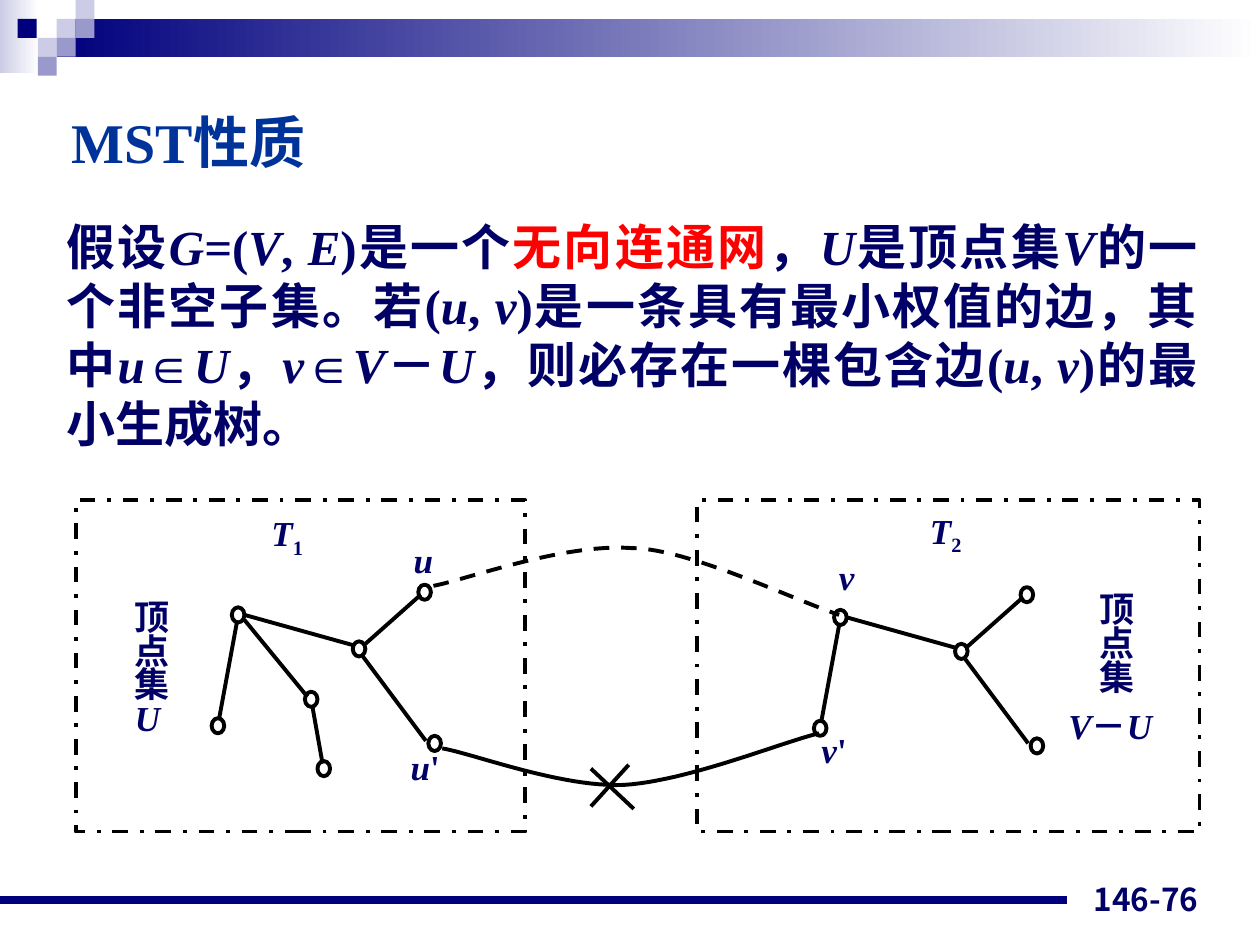
from pptx import Presentation
from pptx.dml.color import RGBColor
from pptx.enum import dml, shapes, text
from pptx.oxml import ns
from pptx.util import Inches, Pt
from lxml import etree

NAVY = RGBColor(0x00, 0x00, 0x7D)
INK = RGBColor(0x00, 0x00, 0x66)
TITLE_BLUE = RGBColor(0x00, 0x33, 0x99)
RED = RGBColor(0xFF, 0x00, 0x00)
LILAC = RGBColor(0xCC, 0xCC, 0xE6)
VIOLET = RGBColor(0x99, 0x99, 0xCC)
WHITE = RGBColor(0xFF, 0xFF, 0xFF)
BLACK = RGBColor(0x00, 0x00, 0x00)
LATIN, CJK, NUMBER_FONT = "Times New Roman", "Noto Sans CJK SC", "Noto Sans CJK JP"
LEFT, CENTER = text.PP_ALIGN.LEFT, text.PP_ALIGN.CENTER
RIGHT, JUSTIFY = text.PP_ALIGN.RIGHT, text.PP_ALIGN.JUSTIFY
PADDING = (0.1, 0.05)

# Marks in text: *italic*, |red|, _subscript_
TITLE = "MST性质"
BODY = ("假设*G*=(*V*, *E*)是一个|无向连通网|，*U*是顶点集*V*的一个非空子集。"
        "若(*u*, *v*)是一条具有最小权值的边，其中*u*∈*U*，*v*∈*V*－*U*，"
        "则必存在一棵包含边(*u*, *v*)的最小生成树。")
PAGE_NUMBER = "146-76"

BANDS = [((0, 0, 0.31, 0.58), LILAC), ((0.45, 0.15, 9.55, 0.3), NAVY)]
TILE = 0.15
TILES = [(0.45, 0.15, LILAC), (0.6, 0, LILAC), (0.6, 0.15, VIOLET), (0.3, 0.3, LILAC),
         (0.14, 0.15, NAVY), (0.45, 0.3, VIOLET), (0.3, 0.45, VIOLET)]

SET_FRAMES = [(5.53, 3.97, 3.99, 2.63), (0.6, 3.97, 3.57, 2.63)]
# Both trees share this shape; the left one has an extra branch.
TREE_SHIFTS = [(0, 0), (4.78, 0.02)]
NODE_SIZE = (0.1, 0.12)
TREE_NODES = [(3.32, 4.64), (3.4, 5.84), (2.8, 5.09), (1.68, 5.7), (1.84, 4.82)]
TREE_EDGES = [(3.34, 4.72, 2.9, 5.11), (2.88, 5.21, 3.38, 5.88),
              (1.88, 4.94, 1.74, 5.7), (1.94, 4.88, 2.8, 5.12)]
BRANCH_NODES = [(2.42, 5.49), (2.52, 6.04)]
BRANCH_EDGES = [(1.94, 4.92, 2.44, 5.53), (2.48, 5.61, 2.56, 6.06)]
CROSS = [(4.69, 6.1, 5.03, 6.42), (4.99, 6.07, 4.69, 6.4)]

# Each curve: start, then cubic segments of two controls and an end
KEPT_CURVE = [(3.51, 5.94), (3.75, 5.98), (4.45, 6.25), (4.95, 6.23),
              (5.45, 6.2), (6.18, 5.9), (6.5, 5.82)]
NEW_CURVE = [(3.44, 4.65), (3.7, 4.6), (4.48, 4.31), (5.01, 4.35),
             (5.46, 4.35), (6.32, 4.77), (6.66, 4.88)]

# text, place, alignment, line spacing, inset
LABELS = [
    ("顶点集*U*", (1.07, 4.78, 0.34, 1.09), JUSTIFY, 0.8, (0, 0.01)),
    ("*V*－*U*", (8.48, 5.61, 1.06, 0.34), JUSTIFY, 0.94, (0, 0.01)),
    ("顶点集", (8.73, 4.73, 0.28, 0.84), JUSTIFY, 0.8, (0, 0)),
    ("*u*'", (3.23, 6.05, 0.29, 0.21), CENTER, 0.54, (0, 0)),
    ("*v*", (6.57, 4.52, 0.3, 0.23), CENTER, 0.62, (0, 0)),
    ("*v*'", (6.45, 5.87, 0.34, 0.25), CENTER, 0.72, (0, 0)),
    ("*u*", (3.22, 4.36, 0.28, 0.25), CENTER, 0.72, (0, 0)),
    ("*T*_1_", (1.99, 4.15, 0.58, 0.25), CENTER, 0.62, (0, 0)),
    ("*T*_2_", (7.22, 4.13, 0.57, 0.25), CENTER, 0.62, (0, 0)),
]

deck = Presentation()
deck.slide_width, deck.slide_height = Inches(10), Inches(7.5)
page = deck.slides.add_slide(deck.slide_layouts[5])


def split_marks(marked):
    """Yield (words, set of active marks) for each stretch of marked text."""
    active, words = set(), ""
    for char in marked:
        if char in "*|_":
            if words:
                yield words, set(active)
            active ^= {char}
            words = ""
        else:
            words += char
    if words:
        yield words, set(active)


def write(box, marked, at, size=20, color=INK, latin=LATIN, cjk=CJK, align=LEFT,
          spacing=None, inset=PADDING, anchor=text.MSO_ANCHOR.TOP):
    box.left, box.top, box.width, box.height = map(Inches, at)
    frame = box.text_frame
    frame.word_wrap = True
    frame.auto_size = text.MSO_AUTO_SIZE.NONE
    frame.vertical_anchor = anchor
    frame.margin_left = frame.margin_right = Inches(inset[0])
    frame.margin_top = frame.margin_bottom = Inches(inset[1])
    para = frame.paragraphs[0]
    para.alignment, para.line_spacing = align, spacing
    for words, marks in split_marks(marked):
        span = para.add_run()
        span.text = words
        font = span.font
        font.size, font.bold, font.italic = Pt(size), True, "*" in marks
        font.color.rgb = RED if "|" in marks else color
        font.name = latin
        etree.SubElement(font._element, ns.qn("a:ea"), typeface=cjk)
        if "_" in marks:
            font._element.set("baseline", "-25000")


def add_text(marked, at, **format):
    write(page.shapes.add_textbox(0, 0, 0, 0), marked, at, **format)


def outline(shape, dash=None):
    shape.shadow.inherit = False
    shape.fill.background()
    shape.line.color.rgb, shape.line.width = BLACK, Pt(2.25)
    if dash:
        shape.line.dash_style = dash


def add_block(at, color, fade=False):
    block = page.shapes.add_shape(shapes.MSO_SHAPE.RECTANGLE, *map(Inches, at))
    block.shadow.inherit = False
    block.line.fill.background()
    if fade:
        block.fill.gradient()
        block.fill.gradient_angle = 0
        for stop, shade, position in zip(block.fill.gradient_stops, (color, WHITE), (0, 1)):
            stop.color.rgb, stop.position = shade, position
    else:
        block.fill.solid()
        block.fill.fore_color.rgb = color


def add_line(ends, color=BLACK, width=2.25):
    line = page.shapes.add_connector(shapes.MSO_CONNECTOR.STRAIGHT, *map(Inches, ends))
    line.line.color.rgb, line.line.width = color, Pt(width)
    etree.SubElement(line._element.spPr, ns.qn("a:effectLst"))


def add_node(x, y):
    outline(page.shapes.add_shape(shapes.MSO_SHAPE.OVAL, *map(Inches, (x, y, *NODE_SIZE))))


def add_curve(points, dash=None, steps=24):
    """Draw joined cubic segments as one finely stepped open outline."""
    points = [(Inches(x), Inches(y)) for x, y in points]
    builder = page.shapes.build_freeform(*points[0])
    for start in range(0, len(points) - 1, 3):
        segment = points[start:start + 4]
        dots = []
        for step in range(1, steps + 1):
            t = step / steps
            weights = ((1 - t) ** 3, 3 * t * (1 - t) ** 2, 3 * t * t * (1 - t), t ** 3)
            dots.append([round(sum(w * p[axis] for w, p in zip(weights, segment)))
                         for axis in (0, 1)])
        builder.add_line_segments(dots, close=False)
    outline(builder.convert_to_shape(), dash)


for place, shade in BANDS:
    add_block(place, shade, fade=True)
for x, y, shade in TILES:
    add_block((x, y, TILE, TILE), shade)
add_line((0, 7.14, 8.47, 7.14), NAVY, 4.5)
add_text(PAGE_NUMBER, (7.28, 6.83, 2.33, 0.5), size=18, latin=NUMBER_FONT,
         cjk=NUMBER_FONT, align=RIGHT, anchor=text.MSO_ANCHOR.BOTTOM)

write(page.shapes.title, TITLE, (0.47, 0.8, 3.08, 0.64), size=32, color=TITLE_BLUE)
add_text(BODY, (0.43, 1.67, 9.17, 1.97), size=28, align=JUSTIFY)

for place in SET_FRAMES:
    outline(page.shapes.add_shape(shapes.MSO_SHAPE.RECTANGLE, *map(Inches, place)),
            dml.MSO_LINE.DASH_DOT)
for ends in CROSS + BRANCH_EDGES:
    add_line(ends)
add_curve(KEPT_CURVE)
add_curve(NEW_CURVE, dml.MSO_LINE.DASH)
for dx, dy in TREE_SHIFTS:
    for x1, y1, x2, y2 in TREE_EDGES:
        add_line((x1 + dx, y1 + dy, x2 + dx, y2 + dy))
    for x, y in TREE_NODES:
        add_node(x + dx, y + dy)
for x, y in BRANCH_NODES:
    add_node(x, y)
for label, place, align, spacing, inset in LABELS:
    add_text(label, place, align=align, spacing=spacing, inset=inset)

deck.save("out.pptx")
